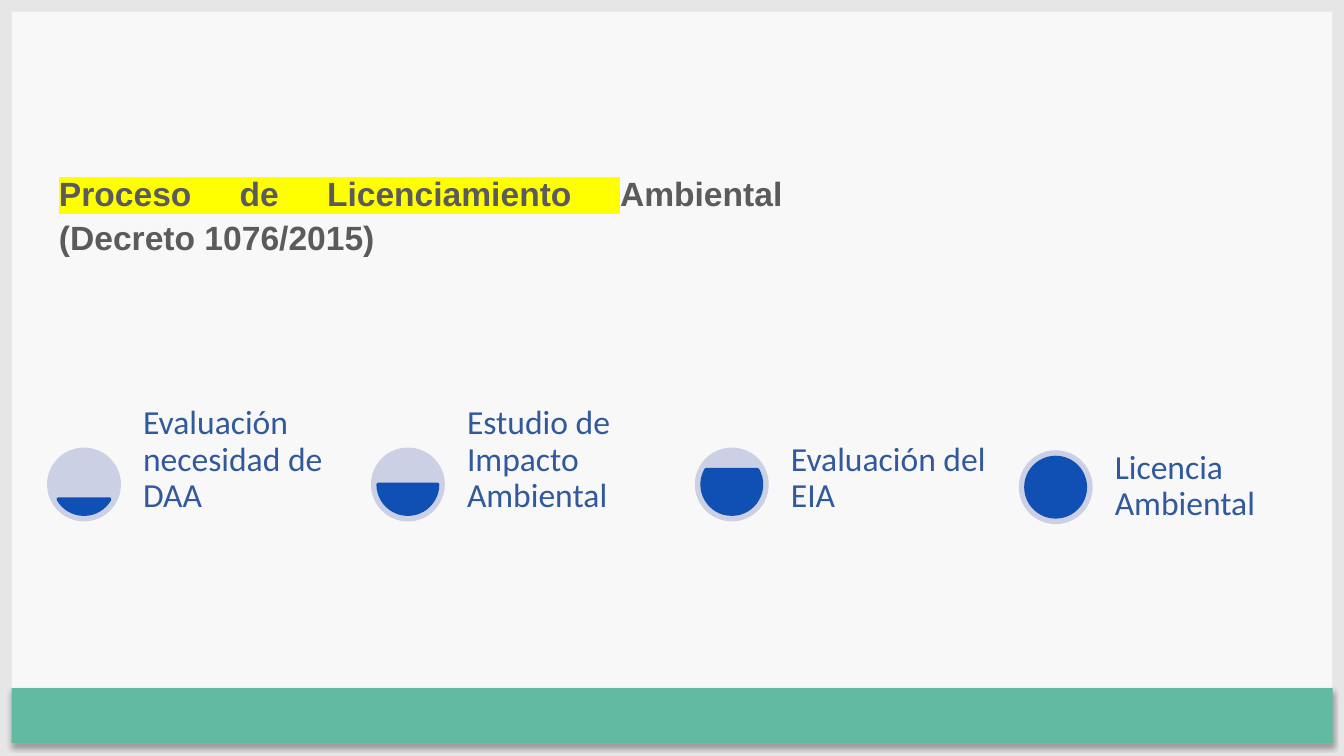
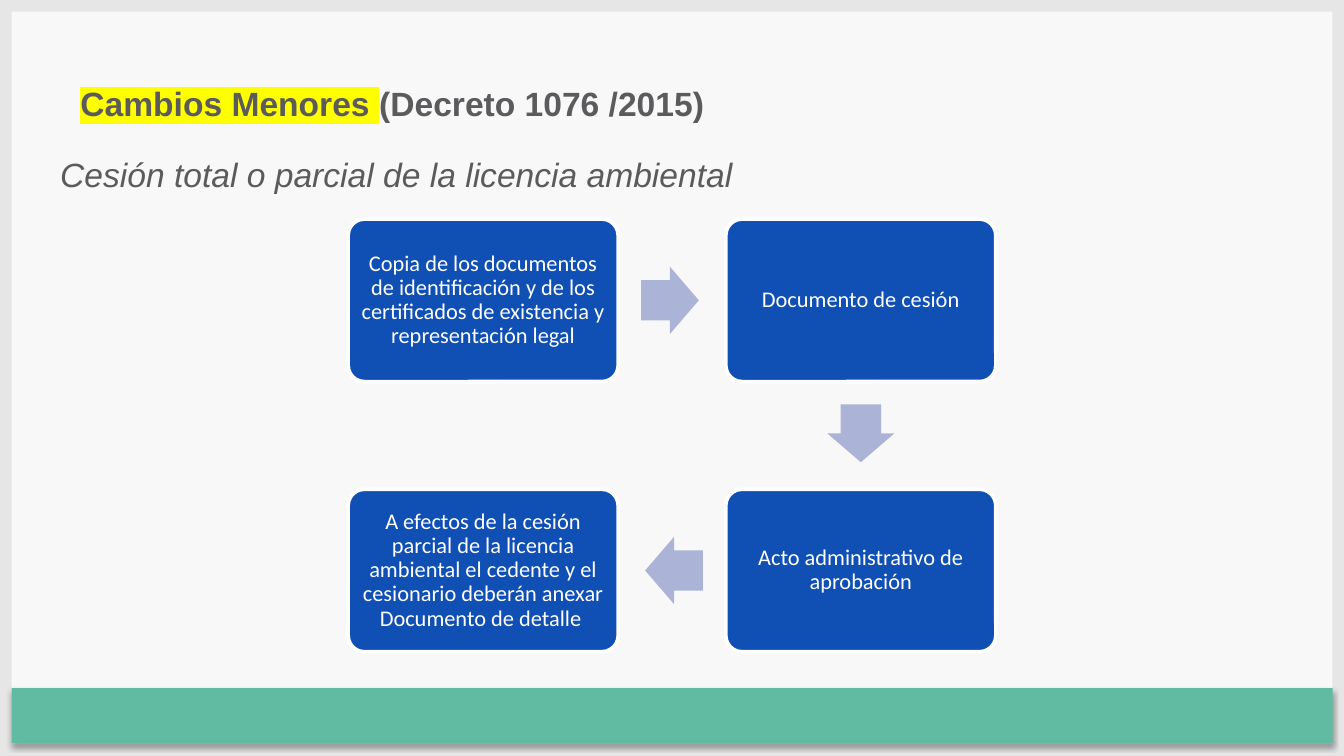
from math import atan2, cos, degrees, radians, sin

from lxml import etree
from pptx import Presentation
from pptx.dml.color import RGBColor
from pptx.enum.shapes import MSO_SHAPE
from pptx.enum.text import MSO_ANCHOR, PP_ALIGN
from pptx.oxml import parse_xml
from pptx.oxml.ns import nsdecls, qn
from pptx.util import Inches, Pt

RECTANGLE, ROUNDED = MSO_SHAPE.RECTANGLE, MSO_SHAPE.ROUNDED_RECTANGLE
OVAL, CHORD, ARROW = MSO_SHAPE.OVAL, MSO_SHAPE.CHORD, MSO_SHAPE.RIGHT_ARROW
TOP, MIDDLE, BOTTOM = MSO_ANCHOR.TOP, MSO_ANCHOR.MIDDLE, MSO_ANCHOR.BOTTOM
LEFT, CENTER, JUSTIFY = PP_ALIGN.LEFT, PP_ALIGN.CENTER, PP_ALIGN.JUSTIFY

PAPER = RGBColor(0xF8, 0xF8, 0xF8)
FRAME = RGBColor(0xE6, 0xE6, 0xE6)
GREEN = RGBColor(0x61, 0xBB, 0xA2)
BLUE = RGBColor(0x10, 0x4F, 0xB3)
STEP_TEXT = RGBColor(0x31, 0x59, 0x9B)
DISC = RGBColor(0xCC, 0xD0, 0xE5)
ARROW_FILL = RGBColor(0xAB, 0xB3, 0xD6)
GREY = RGBColor(0x5B, 0x5B, 0x5E)
WHITE = RGBColor(0xFF, 0xFF, 0xFF)

SLIDE_WIDTH, SLIDE_HEIGHT = Inches(10), Inches(5.625)
COLUMNS, ROWS = 100, 56.25
FRAME_SIZE = 0.87
HEADING_FONT, DIAGRAM_FONT = "Arial", "Calibri"
DIAGRAM_INSET = Inches(0.05)

STEP_PITCH, DISC_SIZE, CHORD_SIZE = 24.1, 5.5, 4.4
STEPS = [
    ("Evaluación necesidad de DAA", 30, 150, 36.05, 5.5),
    ("Estudio de Impacto Ambiental", 0, 180, 36.05, 5.5),
    ("Evaluación del EIA", 330, 210, 36.05, 5.5),
    ("Licencia Ambiental", 270, 270, 36.25, 6.3),
]

CARD_WIDTH, CARD_HEIGHT = 20.1, 12.1
CARD_LEFT, CARD_TOP = 25.9, 16.3
CARD_PITCH_X, CARD_PITCH_Y = 28.1, 20.1
ARROW_LENGTH, ARROW_BREADTH, ARROW_SETBACK = 4.3, 5, 0.15
CARDS = [
    ("Copia de los documentos de identificación y de los certificados "
     "de existencia y representación legal", 0, 0),
    ("Documento de cesión", 1, 0),
    ("Acto administrativo de aprobación", 1, 1),
    ("A efectos de la cesión parcial de la licencia ambiental el cedente "
     "y el cesionario deberán anexar Documento de detalle ", 0, 1),
]


def place(left, top, width, height):
    across, down = SLIDE_WIDTH / COLUMNS, SLIDE_HEIGHT / ROWS
    return (round(left * across), round(top * down),
            round(width * across), round(height * down))


def add_figure(page, kind, area, fill, line=None, adjustments=()):
    figure = page.shapes.add_shape(kind, *place(*area))
    figure.shadow.inherit = False
    figure.fill.solid()
    figure.fill.fore_color.rgb = fill
    if line is None:
        figure.line.fill.background()
    else:
        figure.line.color.rgb = line
        figure.line.width = Pt(2)
    for index, value in enumerate(adjustments):
        figure.adjustments[index] = value
    return figure


def add_textbox(page, area):
    return page.shapes.add_textbox(*place(*area))


def format_text(box, size, font, color, align=LEFT, anchor=TOP, spacing=1.0):
    frame = box.text_frame
    frame.word_wrap = True
    frame.vertical_anchor = anchor
    for para in frame.paragraphs:
        para.alignment = align
        para.line_spacing = spacing
        for span in para.runs:
            span.font.size = Pt(size)
            span.font.name = font
            span.font.color.rgb = color


def write_diagram_text(box, text, size, color, align, anchor):
    frame = box.text_frame
    frame.text = text
    frame.margin_left = frame.margin_right = DIAGRAM_INSET
    frame.margin_top = frame.margin_bottom = DIAGRAM_INSET
    format_text(box, size, DIAGRAM_FONT, color, align, anchor, 0.9)


def highlight(span):
    fill = span.font._element.find(qn("a:solidFill"))
    fill.addnext(parse_xml(
        f'<a:highlight {nsdecls("a")}><a:srgbClr val="FFFF00"/></a:highlight>'))


def add_heading(page, area, marked, plain, wrap=True):
    box = add_textbox(page, area)
    para = box.text_frame.paragraphs[0]
    for text in (marked, plain):
        span = para.add_run()
        span.text = text
        span.font.bold = True
    format_text(box, 18, HEADING_FONT, GREY, JUSTIFY, spacing=1.07)
    para.space_after = Pt(8)
    box.text_frame.word_wrap = wrap
    highlight(para.runs[0])


def add_shadow(figure):
    effects = figure._element.spPr.find(qn("a:effectLst"))
    shadow = etree.SubElement(effects, qn("a:outerShdw"), blurRad=str(Pt(3.1)),
                              dist=str(Pt(1.8)), dir="5400000", rotWithShape="0")
    color = etree.SubElement(shadow, qn("a:srgbClr"), val="000000")
    etree.SubElement(color, qn("a:alpha"), val="35000")


def add_page(deck):
    page = deck.slides.add_slide(deck.slide_layouts[6])
    page.background.fill.solid()
    page.background.fill.fore_color.rgb = PAPER
    for area in (
        (0, 0, COLUMNS, FRAME_SIZE),
        (0, ROWS - FRAME_SIZE, COLUMNS, FRAME_SIZE),
        (0, 0, FRAME_SIZE, ROWS),
        (COLUMNS - FRAME_SIZE, 0, FRAME_SIZE, ROWS),
    ):
        add_figure(page, RECTANGLE, area, FRAME)
    band = add_figure(page, RECTANGLE, (0.87, 51.2, 98.3, 4.1), GREEN)
    add_shadow(band)
    return page


def add_step(page, index, text, start, end, middle, text_height):
    left = 3.5 + index * STEP_PITCH
    inset = (DISC_SIZE - CHORD_SIZE) / 2
    add_figure(page, OVAL,
               (left, middle - DISC_SIZE / 2, DISC_SIZE, DISC_SIZE), DISC)
    add_figure(page, CHORD,
               (left + inset, middle - CHORD_SIZE / 2, CHORD_SIZE, CHORD_SIZE),
               BLUE, BLUE, (start * 0.6, end * 0.6))
    label = add_textbox(
        page, (left + 6.65, middle - text_height / 2, 16.3, text_height))
    write_diagram_text(label, text, 18, STEP_TEXT, LEFT, BOTTOM)


def card_corner(column, row):
    return CARD_LEFT + column * CARD_PITCH_X, CARD_TOP + row * CARD_PITCH_Y


def add_card(page, text, column, row):
    area = (*card_corner(column, row), CARD_WIDTH, CARD_HEIGHT)
    card = add_figure(page, ROUNDED, area, BLUE, WHITE, (0.1,))
    write_diagram_text(card, text, 12, WHITE, CENTER, MIDDLE)


def add_arrow(page, start, end):
    angle = degrees(atan2(end[1] - start[1], end[0] - start[0]))
    left, top = card_corner((start[0] + end[0]) / 2, (start[1] + end[1]) / 2)
    center_x = left + CARD_WIDTH / 2 - ARROW_SETBACK * cos(radians(angle))
    center_y = top + CARD_HEIGHT / 2 - ARROW_SETBACK * sin(radians(angle))
    arrow = add_figure(page, ARROW,
                       (center_x - ARROW_LENGTH / 2, center_y - ARROW_BREADTH / 2,
                        ARROW_LENGTH, ARROW_BREADTH),
                       ARROW_FILL, adjustments=(0.6, 0.5))
    arrow.rotation = angle


def add_licensing_page(deck):
    page = add_page(deck)
    for index, step in enumerate(STEPS):
        add_step(page, index, *step)
    add_heading(page, (3.4, 12.2, 55.8, 11.6),
                "Proceso de Licenciamiento ", "Ambiental (Decreto 1076/2015)")


def add_transfer_page(deck):
    page = add_page(deck)
    subtitle = add_textbox(page, (3.5, 11, 63.7, 4))
    subtitle.text_frame.text = "Cesión total o parcial de la licencia ambiental"
    format_text(subtitle, 18, HEADING_FONT, GREY)
    subtitle.text_frame.paragraphs[0].runs[0].font.italic = True
    for card in CARDS:
        add_card(page, *card)
    for start, end in zip(CARDS, CARDS[1:]):
        add_arrow(page, start[1:], end[1:])
    add_heading(page, (5, 5.5, 48.9, 4.1),
                "Cambios Menores ", "(Decreto 1076 /2015)", wrap=False)


def main():
    deck = Presentation()
    deck.slide_width, deck.slide_height = SLIDE_WIDTH, SLIDE_HEIGHT
    add_licensing_page(deck)
    add_transfer_page(deck)
    deck.save("out.pptx")


if __name__ == "__main__":
    main()
